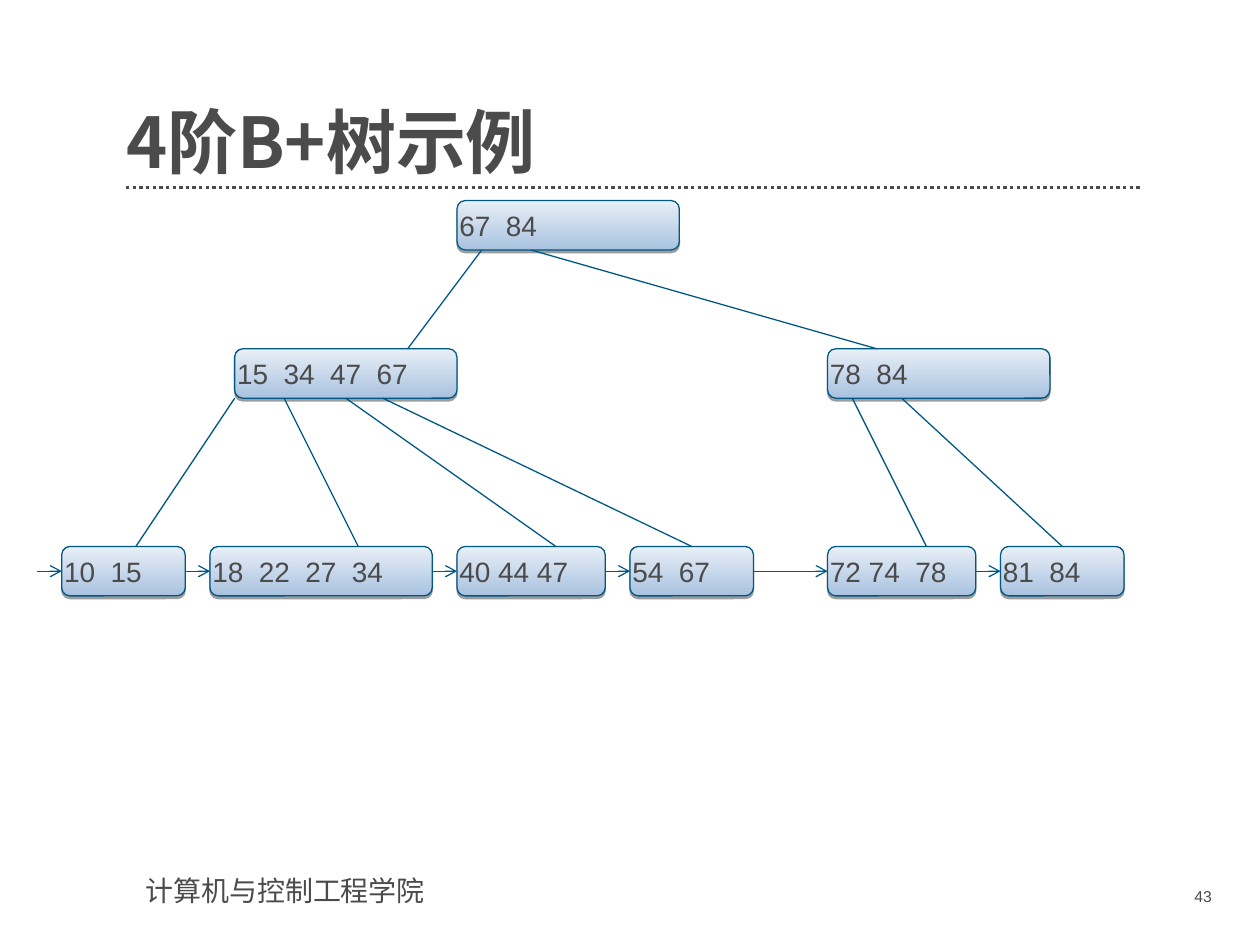
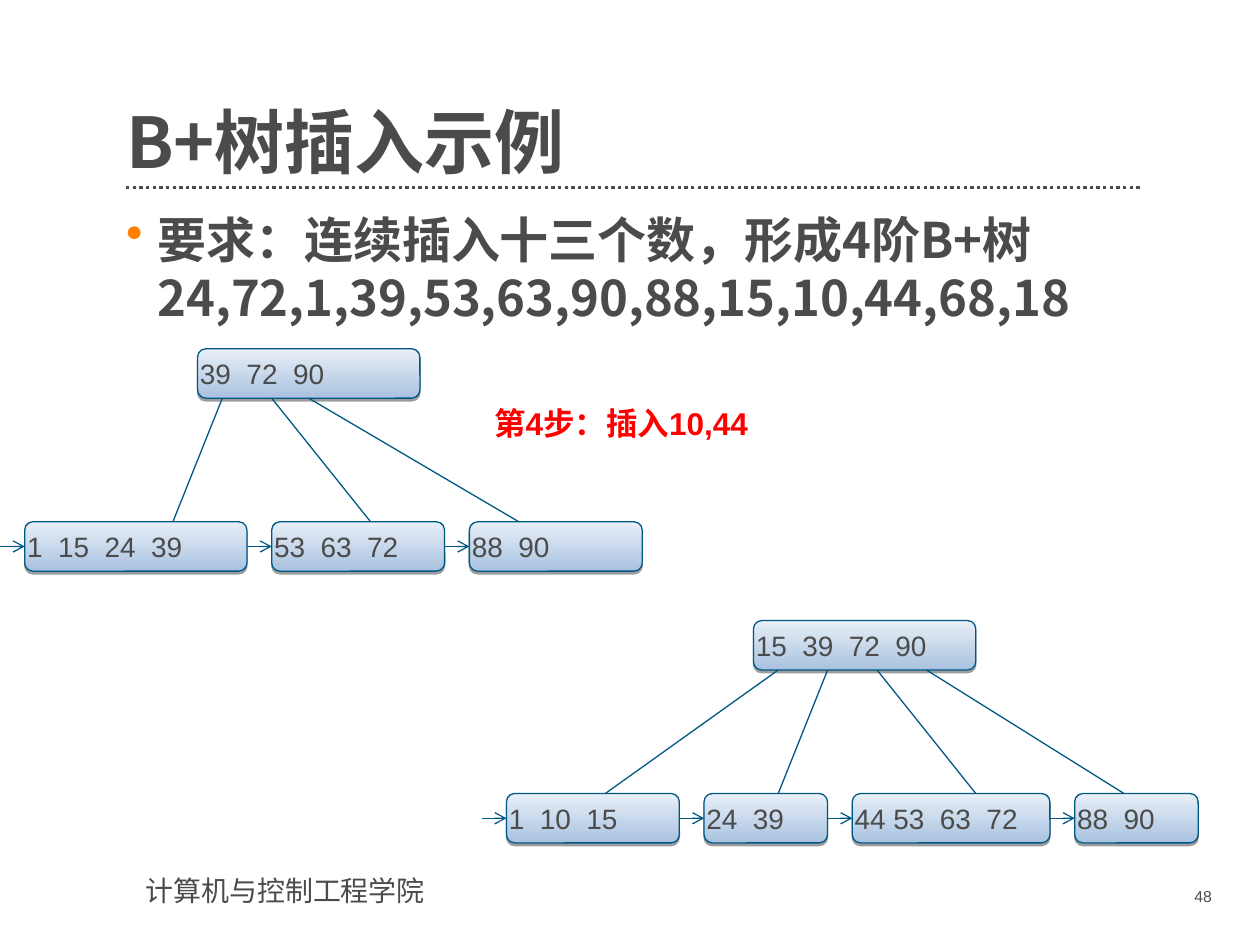
from lxml import etree
from pptx import Presentation
from pptx import util as u
from pptx.dml.color import RGBColor
from pptx.enum import dml, shapes, text
from pptx.oxml import ns, parse_xml

deck = Presentation()
deck.slide_width, deck.slide_height = u.Inches(10), u.Inches(7.5)
cell = deck.slide_width / 51
row_shift = 0.12
node_height = 2
hexa = RGBColor.from_string
INK, EDGE, RED, ORANGE = "4B4B4B", "005984", "FF0000", "FF8000"
HEADING_FONT, BODY_FONT = "Noto Sans CJK SC", "Arial"
SHADOW = (
    f'<a:effectLst {ns.nsdecls("a")}><a:outerShdw blurRad="0" dist="20320" dir="5400000" rotWithShape="0">'
    '<a:srgbClr val="000000"><a:alpha val="38000"/></a:srgbClr></a:outerShdw></a:effectLst>'
)


def write(frame, content, size=16, font=BODY_FONT, color=INK, bold=False, align="LEFT",
          anchor="TOP", insets=(0.1, 0.05, 0.1, 0.05), spacing=None, bullet=None):
    frame.word_wrap = True
    frame.auto_size = text.MSO_AUTO_SIZE.NONE
    frame.vertical_anchor = text.MSO_ANCHOR[anchor]
    frame.margin_left, frame.margin_top, frame.margin_right, frame.margin_bottom = map(u.Inches, insets)
    paragraph = frame.paragraphs[0]
    paragraph.alignment = text.PP_ALIGN[align]
    paragraph.line_spacing = spacing
    if bullet:
        properties = paragraph._p.get_or_add_pPr()
        properties.set("marL", str(u.Inches(0.25)))
        properties.set("indent", str(-u.Inches(0.25)))
        tint = etree.SubElement(properties, ns.qn("a:buClr"))
        etree.SubElement(tint, ns.qn("a:srgbClr"), val=ORANGE)
        etree.SubElement(properties, ns.qn("a:buChar"), char=bullet)
    run = paragraph.add_run()
    run.text = content
    run.font.size, run.font.bold, run.font.name = u.Pt(size), bold, font
    run.font.color.rgb = hexa(color)
    if font == HEADING_FONT:
        etree.SubElement(run._r.rPr, ns.qn("a:ea"), typeface=font)


def draw_line(slide, start, end, color=EDGE, width=0.75, arrow=False):
    ends = [round(cell * value) for value in (*start, *end)]
    line = slide.shapes.add_connector(shapes.MSO_CONNECTOR.STRAIGHT, *ends)
    line.line.color.rgb = hexa(color)
    line.line.width = u.Pt(width)
    if arrow:
        etree.SubElement(line.line._get_or_add_ln(), ns.qn("a:tailEnd"), type="arrow")
    etree.SubElement(line._element.spPr, ns.qn("a:effectLst"))
    return line


# Nodes: column, width, keys. Links: parent, start column, child, end column.
pages = [
    dict(
        title="4阶B+树示例", number="43", notes=[],
        trees=[dict(
            levels=[
                (8, [(18.5, 9, "67  84")]),
                (14, [(9.5, 9, "15  34  47  67"), (33.5, 9, "78  84")]),
                (22, [(2.5, 5, "10  15"), (8.5, 9, "18  22  27  34"), (18.5, 6, "40 44 47"),
                      (25.5, 5, "54  67"), (33.5, 6, "72 74  78"), (40.5, 5, "81  84")]),
            ],
            links=[(0, 19.5, 1, 16.5), (0, 21.5, 2, 35.5), (1, 9.5, 3, 5.5), (1, 11.5, 4, 14.5),
                   (1, 14, 5, 22.5), (1, 15.5, 6, 28), (2, 34.5, 7, 37.5), (2, 36.5, 8, 43)],
        )],
    ),
    dict(
        title="B+树插入示例", number="48",
        notes=[
            ((5.1, 8.52, 41.1, 25.5), "要求：连续插入十三个数，形成4阶B+树24,72,1,39,53,63,90,88,15,10,44,68,18",
             dict(size=28, font=HEADING_FONT, bold=True, insets=(0, 0, 0.2, 0), spacing=u.Pt(33), bullet="•")),
            ((19.5, 16.1, 19, 2.05), "第4步：插入10,44", dict(size=18, color=RED, bold=True)),
        ],
        trees=[
            dict(
                levels=[
                    (14, [(8, 9, "39  72  90")]),
                    (21, [(1, 9, "1  15  24  39"), (11, 7, "53  63  72"), (19, 7, "88  90")]),
                ],
                links=[(0, 9, 1, 7), (0, 11, 2, 15), (0, 12.5, 3, 21)],
            ),
            dict(
                levels=[
                    (25, [(30.5, 9, "15  39  72  90")]),
                    (32, [(20.5, 7, "1  10  15"), (28.5, 5, "24  39"),
                          (34.5, 8, "44 53  63  72"), (43.5, 5, "88  90")]),
                ],
                links=[(0, 31.5, 1, 24.5), (0, 33.5, 2, 31.5), (0, 35.5, 3, 39.5), (0, 37.5, 4, 45.5)],
            ),
        ],
    ),
]

for page in pages:
    slide = deck.slides.add_slide(deck.slide_layouts[5])
    heading = slide.shapes.title
    heading.left, heading.top, heading.width, heading.height = [round(cell * v) for v in (5.1, 2.8, 41.1, 4.64)]
    write(heading.text_frame, page["title"], size=40, font=HEADING_FONT, bold=True,
          anchor="BOTTOM", insets=(0, 0, 0, 0), spacing=0.9)
    rule = draw_line(slide, (5.1, 7.6), (46.2, 7.6), color=INK, width=1.9)
    rule.line.dash_style = dml.MSO_LINE.ROUND_DOT

    school = ((5.4, 35.1, 14.1, 1.9), "计算机与控制工程学院", {})
    number = ((44.5, 35.65, 5.05, 1.48), page["number"], dict(size=9, align="RIGHT"))
    for place, content, style in [school, number, *page["notes"]]:
        box = slide.shapes.add_textbox(*[round(cell * v) for v in place])
        write(box.text_frame, content, **style)

    for tree in page["trees"]:
        nodes = []
        for row, members in tree["levels"]:
            for column, width, keys in members:
                place = [round(cell * v) for v in (column, row + row_shift, width, node_height)]
                node = slide.shapes.add_shape(shapes.MSO_SHAPE.ROUNDED_RECTANGLE, *place)
                node.fill.gradient()
                node.fill.gradient_angle = 90
                for stop, shade in zip(node.fill.gradient_stops, ("A9C2E0", "E8EFF7")):
                    stop.color.rgb = hexa(shade)
                node.line.color.rgb = hexa(EDGE)
                node.line.width = u.Pt(0.75)
                node._element.spPr.append(parse_xml(SHADOW))
                write(node.text_frame, keys, anchor="MIDDLE", insets=(0, 0, 0.2, 0))
                nodes.append((node, column, row + row_shift, width))

        for parent, start, child, end in tree["links"]:
            upper, upper_column, upper_row, upper_width = nodes[parent]
            lower, lower_column, lower_row, lower_width = nodes[child]
            link = draw_line(slide, (start, upper_row + node_height), (end, lower_row))
            if start == upper_column + upper_width / 2:
                link.begin_connect(upper, 2)
            if end == lower_column + lower_width / 2:
                link.end_connect(lower, 0)

        leaves = nodes[-len(tree["levels"][-1][1]):]
        previous = None
        for leaf, column, row, width in leaves:
            middle = row + node_height / 2
            arrow = draw_line(slide, (column - 1, middle), (column, middle), arrow=True)
            if previous:
                arrow.begin_connect(previous, 3)
            arrow.end_connect(leaf, 1)
            previous = leaf

deck.save("out.pptx")
